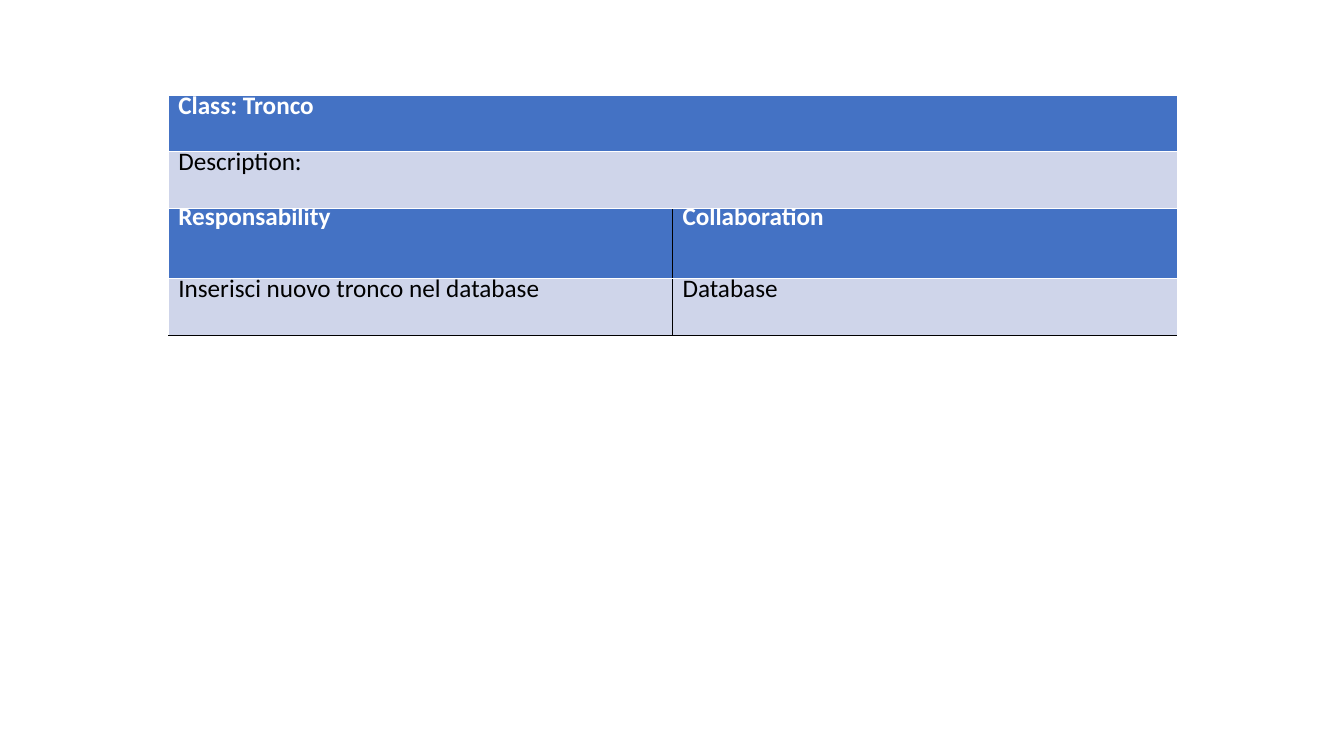
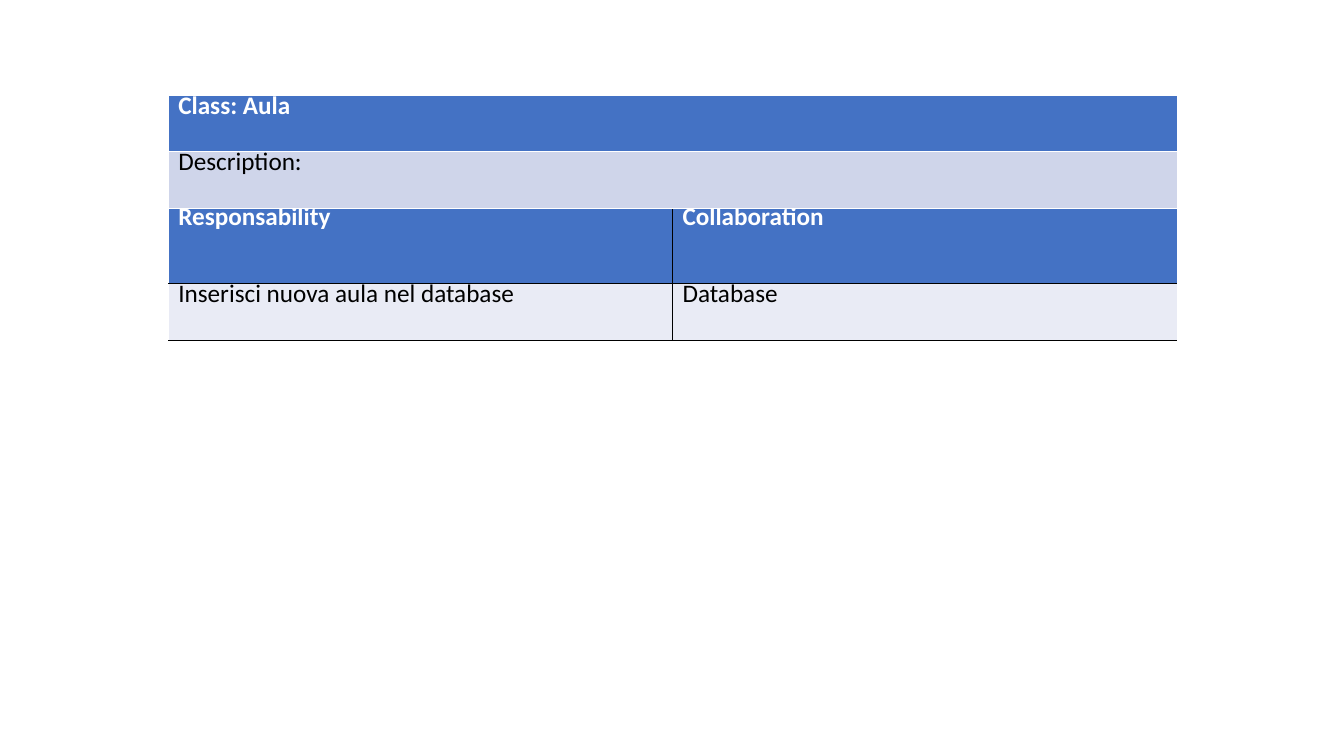
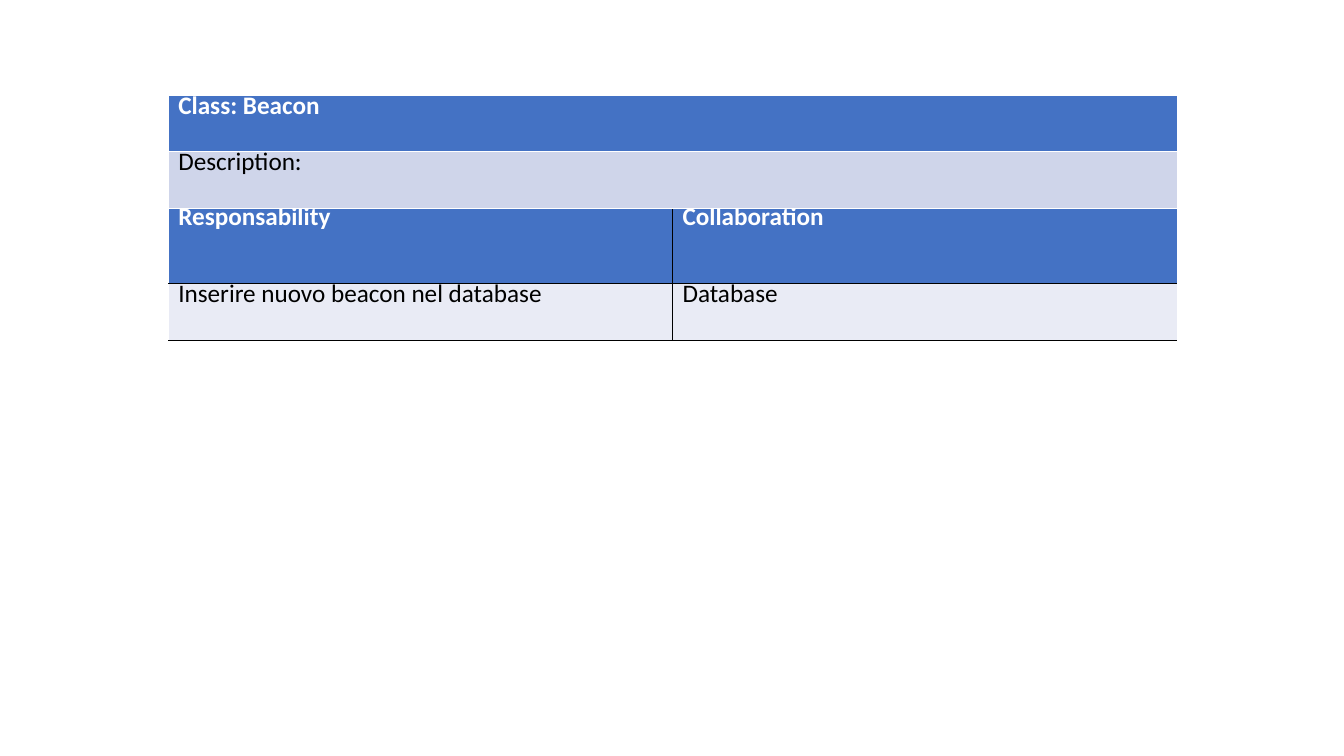
from dataclasses import dataclass

from lxml import etree
from pptx import Presentation
from pptx import util as u
from pptx.dml.color import RGBColor
from pptx.enum import text
from pptx.oxml import ns

# Shared look
FONT = "Calibri"
TEXT_SIZE = u.Pt(18)
LINE_SPACING = 0.58
BORDER_WIDTH = u.Pt(0.06)
WHITE = RGBColor(0xFF, 0xFF, 0xFF)
BLACK = RGBColor(0x00, 0x00, 0x00)
BLUE = RGBColor(0x44, 0x72, 0xC4)
BAND_DARK = RGBColor(0xCF, 0xD5, 0xEA)
BAND_LIGHT = RGBColor(0xE9, 0xEB, 0xF5)

# Shared layout
TABLE_LEFT = u.Inches(1.67)
TABLE_WIDTH = u.Inches(10.01)
CLASS_TOP = u.Inches(0.94)
DUTIES_TOP = u.Inches(2.05)
ROW_HEIGHT = u.Inches(0.56)


@dataclass(frozen=True)
class ClassCard:
    name: str
    responsibility: str
    collaborator: str
    header_height: float = 0.76
    body_fill: RGBColor = BAND_LIGHT
    divider: RGBColor = BLACK


CARDS = [
    ClassCard("Tronco", "Inserisci nuovo tronco nel database", "Database",
              header_height=0.71, body_fill=BAND_DARK, divider=WHITE),
    ClassCard("Aula", "Inserisci nuova aula nel database", "Database"),
    ClassCard("Beacon", "Inserire nuovo beacon nel database", "Database"),
]


def write_text(text_frame, content: str, *, color: RGBColor, bold: bool) -> None:
    """Fill a text frame with one formatted paragraph."""
    paragraph = text_frame.paragraphs[0]
    paragraph.line_spacing = LINE_SPACING
    run = paragraph.add_run()
    run.text = content
    run.font.name = FONT
    run.font.size = TEXT_SIZE
    run.font.bold = bold
    run.font.color.rgb = color


def set_borders(cell, edges: dict[str, RGBColor]) -> None:
    """Draw the cell's edges; the keys run L, R, T, B as the schema asks."""
    properties = cell._tc.get_or_add_tcPr()
    for position, (side, color) in enumerate(edges.items()):
        line = etree.Element(ns.qn(f"a:ln{side}"), w=str(BORDER_WIDTH))
        fill = etree.SubElement(line, ns.qn("a:solidFill"))
        etree.SubElement(fill, ns.qn("a:srgbClr"), val=str(color))
        properties.insert(position, line)


def add_card_table(slide, top: int, rows: list[list[str]], header_height: int,
                   body_fill: RGBColor, divider: RGBColor, bottom: RGBColor) -> None:
    """Add a table with one blue header row and one body row."""
    columns = len(rows[0])
    heights = [header_height, ROW_HEIGHT]
    table = slide.shapes.add_table(len(rows), columns, TABLE_LEFT, top,
                                   TABLE_WIDTH, sum(heights)).table
    table.first_row = table.horz_banding = False
    horizontal_lines = [WHITE, divider, bottom]

    for row, contents in enumerate(rows):
        table.rows[row].height = heights[row]
        is_header = row == 0
        for column, content in enumerate(contents):
            cell = table.cell(row, column)
            cell.vertical_anchor = text.MSO_ANCHOR.TOP
            cell.fill.solid()
            cell.fill.fore_color.rgb = BLUE if is_header else body_fill
            write_text(cell.text_frame, content,
                       color=WHITE if is_header else BLACK, bold=is_header)
            set_borders(cell, {
                "L": WHITE if column == 0 else BLACK,
                "R": WHITE if column == columns - 1 else BLACK,
                "T": horizontal_lines[row],
                "B": horizontal_lines[row + 1],
            })


def add_card_slide(presentation, card: ClassCard) -> None:
    slide = presentation.slides.add_slide(presentation.slide_layouts[6])
    # Responsibilities and collaborators
    add_card_table(slide, DUTIES_TOP,
                   [["Responsability", "Collaboration"],
                    [card.responsibility, card.collaborator]],
                   u.Inches(card.header_height), card.body_fill,
                   card.divider, BLACK)
    # Class name and description, in front
    add_card_table(slide, CLASS_TOP,
                   [[f"Class: {card.name}"], ["Description:"]],
                   ROW_HEIGHT, BAND_DARK, WHITE, WHITE)


def main() -> None:
    presentation = Presentation()
    presentation.slide_width = u.Inches(13.34)
    presentation.slide_height = u.Inches(7.5)
    for card in CARDS:
        add_card_slide(presentation, card)
    presentation.save("out.pptx")


if __name__ == "__main__":
    main()
